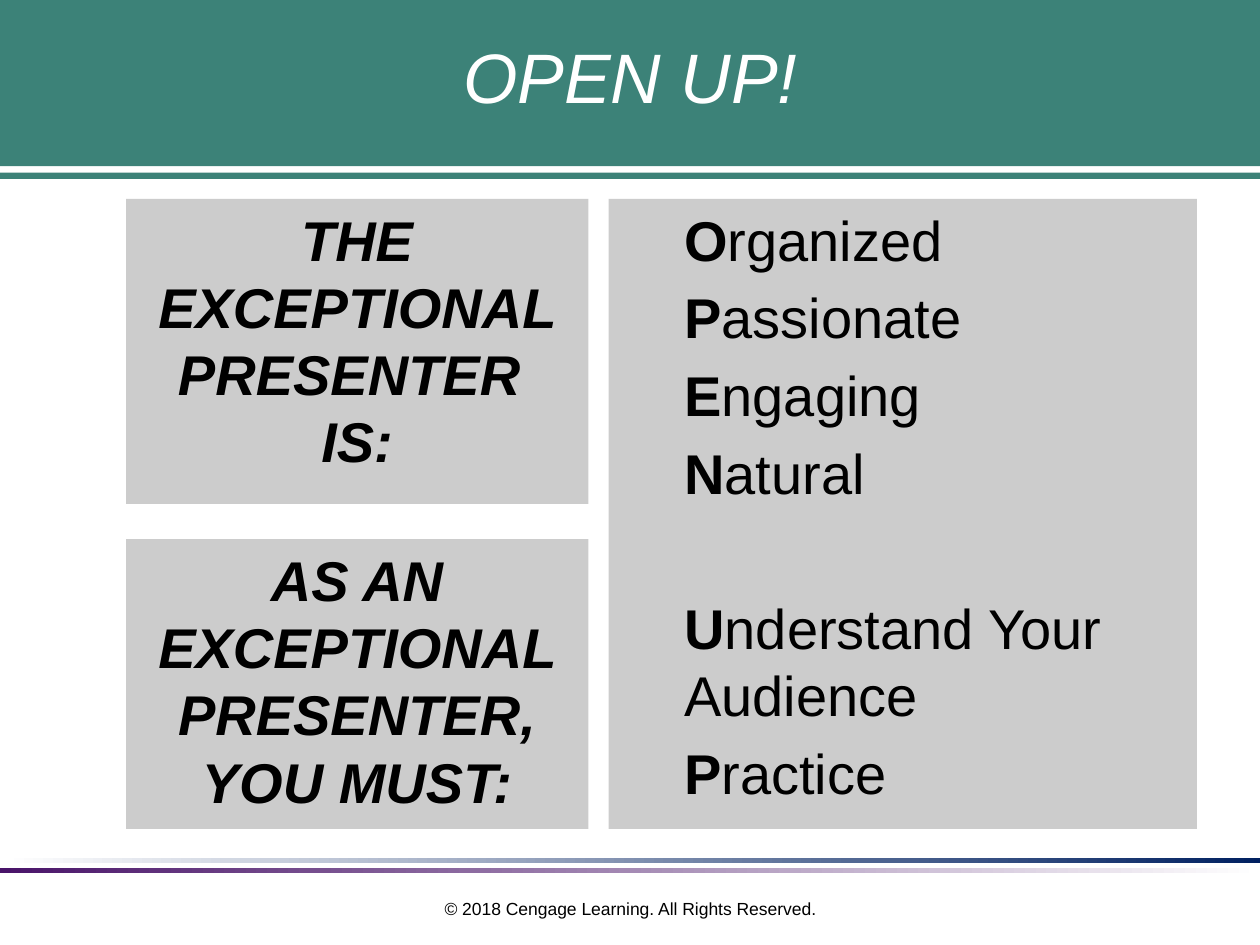
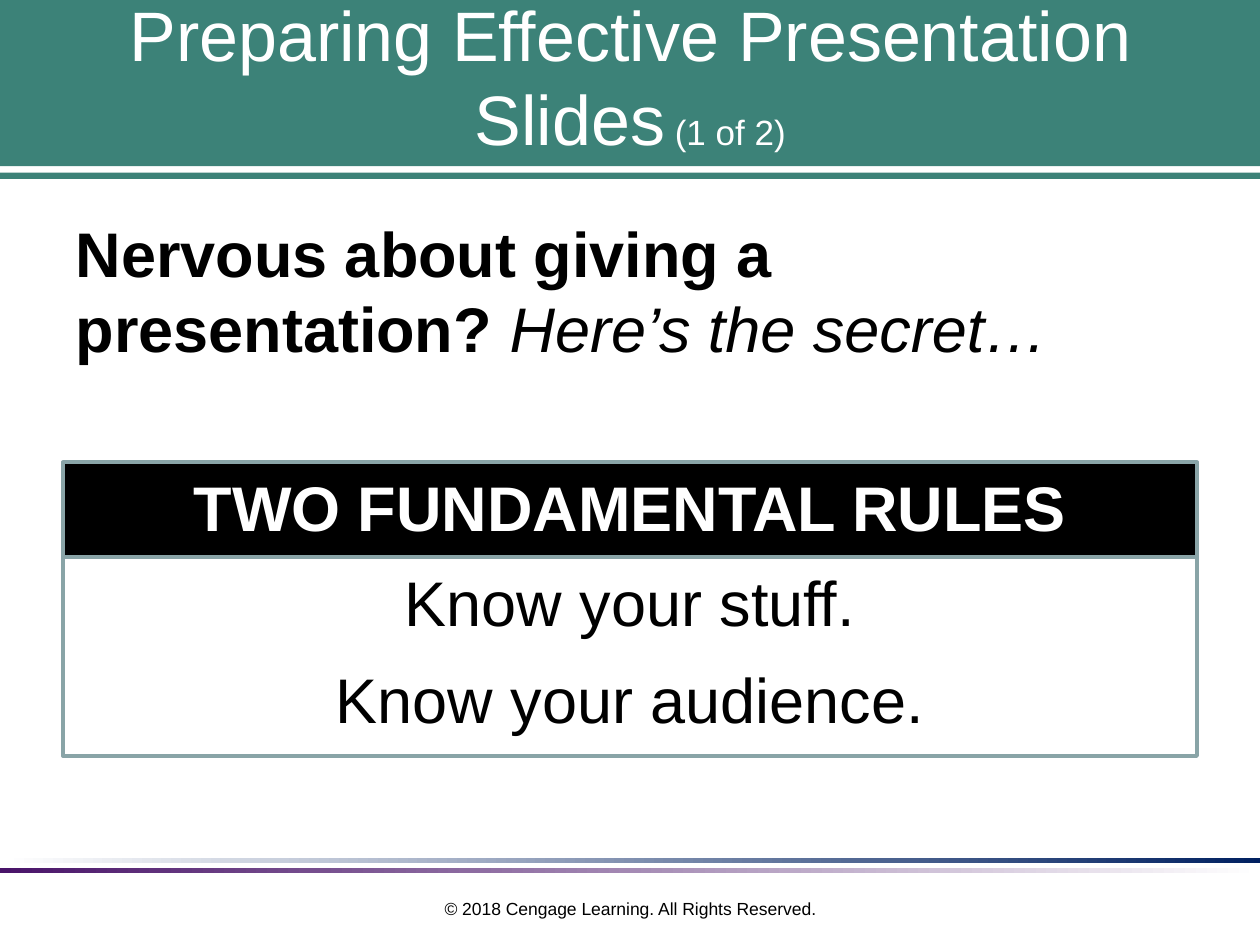
from pptx import Presentation, util as u
from pptx.dml.color import RGBColor
from pptx.enum import shapes, text
from pptx.oxml.ns import qn

# Shared look
FONT = "Arial"
TEAL, WHITE, BLACK, GREY, RULE = "3C8278", "FFFFFF", "000000", "CCCCCC", "89A4A7"
W, H = 25.4, 19.05
# (left, top, width, height) in cm, then one colour or a left-to-right gradient
BANDS = [
    ((0, -0.1, W, 3.45), [TEAL]),
    ((0, 3.48, W, 0.13), [TEAL]),
    ((0, 17.5, W, 0.1), ["491469", WHITE]),
    ((0.08, 17.3, W, 0.1), [WHITE, "002060"]),
]
FOOTER = "© 2018 Cengage Learning. All Rights Reserved."
FOOTER_BOX = (8.64, 17.98, 8.13, 0.76)
TITLE_BOX = (0.64, 0, 24.13, 3.05)
CENTER = text.PP_ALIGN.CENTER
STRONG = dict(bold=True)

# Content: paragraphs are lists of (text, font format) runs
LABEL = dict(size=32, bold=True, italic=True)
TRAITS = ["Organized", "Passionate", "Engaging", "Natural",
          "Understand Your Audience", "Practice"]
SECOND_WORD = TRAITS.index("Understand Your Audience")
GAP = 0.41
LEFT, TOP, BOTTOM, LABEL_W = 2.54, 4.01, 16.71, 9.32
LIST_LEFT = LEFT + LABEL_W + GAP
RULES_LEFT, RULES_W, RULES_TOP, HEAD_H = 1.27, 22.86, 9.32, 1.91

SLIDES = [
    dict(title=[("OPEN UP!", dict(italic=True))],
         bodies=[
             dict(box=(LEFT, TOP, LABEL_W, 6.15), fill=GREY, align=CENTER,
                  paras=[[("THE EXCEPTIONAL PRESENTER \nIS:", LABEL)]]),
             dict(box=(LEFT, 10.87, LABEL_W, BOTTOM - 10.87), fill=GREY, align=CENTER,
                  paras=[[("AS AN EXCEPTIONAL PRESENTER, YOU MUST:", LABEL)]]),
             dict(box=(LIST_LEFT, TOP, 11.86, BOTTOM - TOP), fill=GREY,
                  size=32, indent=1.27, before=0, gaps={SECOND_WORD: 44},
                  paras=[[(t[0], STRONG), (t[1:], {})] for t in TRAITS]),
         ]),
    dict(title=[("Preparing Effective Presentation Slides", {}),
                (" (1 of 2)", dict(size=20))],
         bodies=[
             dict(box=(RULES_LEFT, 4.19, RULES_W, 3.43),
                  paras=[[("Nervous about giving a presentation? ", STRONG),
                          ("Here’s the secret…", dict(italic=True))]]),
             dict(box=(RULES_LEFT, RULES_TOP, RULES_W, HEAD_H), fill=BLACK,
                  line=RULE, align=CENTER, color=WHITE,
                  paras=[[("TWO FUNDAMENTAL RULES", STRONG)]]),
             dict(box=(RULES_LEFT, RULES_TOP + HEAD_H, RULES_W, 4.01),
                  line=RULE, align=CENTER,
                  paras=[[("Know your stuff.", {})], [("Know your audience.", {})]]),
         ]),
]


def rgb(value):
    return RGBColor.from_string(value)


def place(sp, box):
    for name, value in zip(("left", "top", "width", "height"), box):
        setattr(sp, name, u.Cm(value))


def add_runs(p, runs, size, color):
    for words, fmt in runs:
        for i, part in enumerate(words.split("\n")):
            if i:
                p.add_line_break()
            r = p.add_run()
            r.text = part
            values = dict(name=FONT, size=size, bold=False, italic=False) | fmt
            values["size"] = u.Pt(values["size"])
            for name, value in values.items():
                setattr(r.font, name, value)
            r.font.color.rgb = rgb(color)


def write(sp, paras, size=36, color=BLACK, align=text.PP_ALIGN.LEFT, indent=0,
          before=6, after=6, gaps=None, anchor=text.MSO_ANCHOR.TOP):
    tf = sp.text_frame
    for name, value in dict(word_wrap=True, auto_size=text.MSO_AUTO_SIZE.NONE,
                            vertical_anchor=anchor).items():
        setattr(tf, name, value)
    for i, runs in enumerate(paras):
        p = tf.add_paragraph() if i else tf.paragraphs[0]
        # No bullet, and a plain left indent
        pPr = p._p.get_or_add_pPr()
        pPr.set("marL", str(u.Cm(indent)))
        pPr.set("indent", "0")
        pPr.append(pPr.makeelement(qn("a:buNone"), {}))
        space = (gaps or {}).get(i, before) if i else 0
        for name, value in dict(alignment=align, space_before=u.Pt(space),
                                space_after=u.Pt(after), line_spacing=1.0).items():
            setattr(p, name, value)
        add_runs(p, runs, size, color)


def add_body(sp, box, paras, fill=None, line=None, **style):
    place(sp, box)
    if fill:
        sp.fill.solid()
        sp.fill.fore_color.rgb = rgb(fill)
    if line:
        sp.line.color.rgb = rgb(line)
        sp.line.width = u.Pt(2.25)
    write(sp, paras, **style)


def dress_master(prs, s):
    """Draw bands and footer once, then move them to the slide master."""
    parts = []
    for box, colors in BANDS:
        sp = s.shapes.add_shape(shapes.MSO_SHAPE.RECTANGLE, *map(u.Cm, box))
        sp.shadow.inherit = False
        sp.line.fill.background()
        if len(colors) == 1:
            sp.fill.solid()
            sp.fill.fore_color.rgb = rgb(colors[0])
        else:
            sp.fill.gradient()
            sp.fill.gradient_angle = 0
            for stop, color in zip(sp.fill.gradient_stops, colors):
                stop.color.rgb = rgb(color)
        parts.append(sp)
    footer = s.shapes.add_textbox(*map(u.Cm, FOOTER_BOX))
    write(footer, [[(FOOTER, {})]], size=10, align=CENTER, after=0)
    parts.append(footer)
    tree = prs.slide_master.shapes._spTree
    for i, sp in enumerate(parts):
        sp._element.nvSpPr.cNvPr.set("id", str(100 + i))
        tree.insert(2 + i, sp._element)


def main():
    prs = Presentation()
    prs.slide_width, prs.slide_height = u.Cm(W), u.Cm(H)
    layout = prs.slide_layouts.get_by_name("Comparison")
    for content in SLIDES:
        s = prs.slides.add_slide(layout)
        title, *holders = s.placeholders
        place(title, TITLE_BOX)
        write(title, [content["title"]], size=40, color=WHITE, align=CENTER,
              after=0, anchor=text.MSO_ANCHOR.MIDDLE)
        for sp, body in zip(holders, content["bodies"]):
            add_body(sp, **body)
        for sp in holders[len(content["bodies"]):]:
            sp._element.getparent().remove(sp._element)
    dress_master(prs, prs.slides[0])
    prs.save("out.pptx")


if __name__ == "__main__":
    main()
